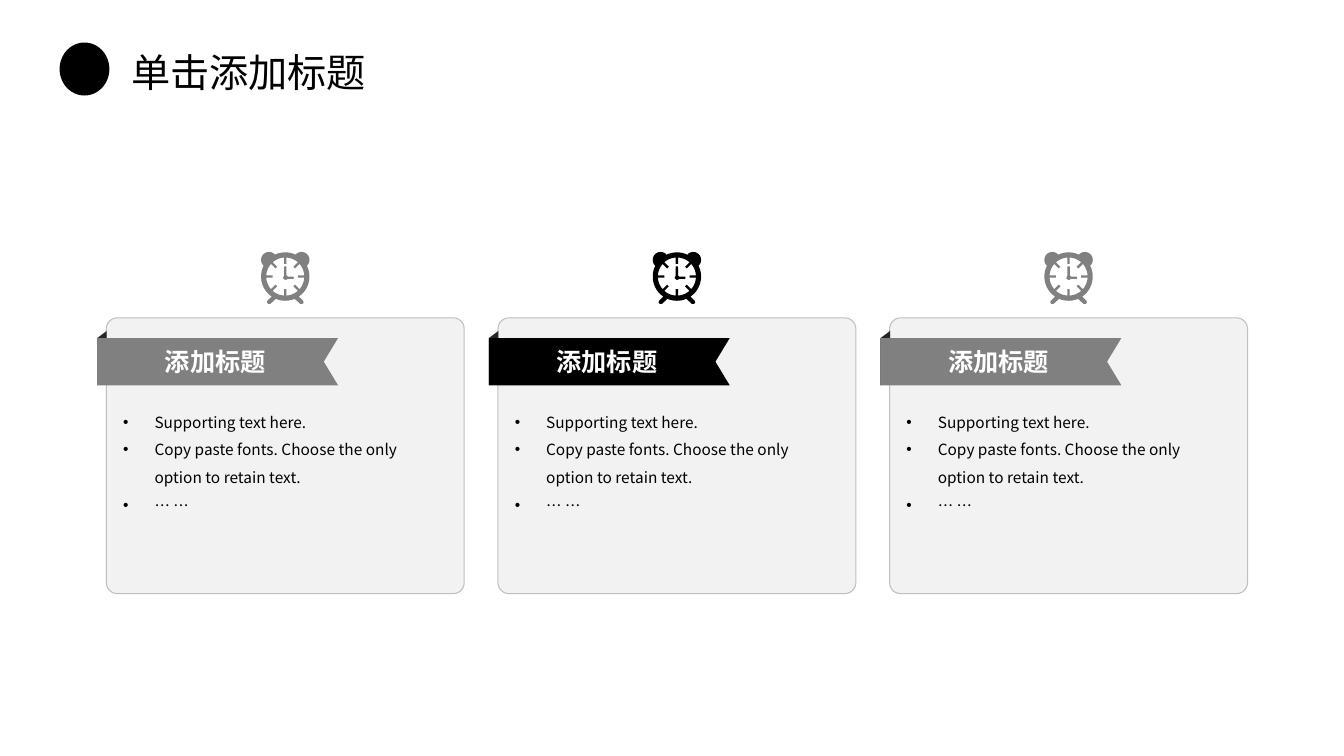
from dataclasses import dataclass
from math import cos, degrees, radians, sin

from lxml import etree
from pptx import Presentation
from pptx import util as u
from pptx.dml.color import RGBColor
from pptx.enum import shapes, text
from pptx.oxml.ns import qn


@dataclass(frozen=True)
class Theme:
    font: str = "Noto Sans CJK SC"
    black: str = "000000"
    white: str = "FFFFFF"
    grey: str = "808080"
    fold: str = "262626"
    card: str = "F2F2F2"
    border: str = "BFBFBF"
    title_size: int = 28
    heading_size: int = 18
    body_size: int = 11


LIST_ITEMS = (
    "Supporting text here.",
    "Copy paste fonts. Choose the only option to retain text.",
    "… …",
)


def write(para, words, *, theme, size, color, bold=False, align=text.PP_ALIGN.LEFT):
    """Add one formatted span to a paragraph."""
    para.alignment = align
    para.space_before = u.Pt(0)
    span = para.add_run()
    span.text = words
    span.font.size = u.Pt(size)
    span.font.bold = bold
    span.font.color.rgb = RGBColor.from_string(color)
    span.font.name = theme.font
    etree.SubElement(span.font._element, qn("a:ea"), typeface=theme.font)


def add_bullet(para, indent):
    props = para._p.get_or_add_pPr()
    props.set("marL", str(indent))
    props.set("indent", str(-indent))
    etree.SubElement(props, qn("a:buFont"), typeface="Arial")
    etree.SubElement(props, qn("a:buChar"), char="•")


# Clock outlines, in millimetres around the centre of the dial
def polar(radius, angle, center=(0, 0)):
    turn = radians(angle)
    return center[0] + radius * cos(turn), center[1] + radius * sin(turn)


def arc(radius, start, end, center=(0, 0), steps=12):
    return [polar(radius, start + (end - start) * i / steps, center)
            for i in range(steps + 1)]


def clock_body():
    bell = arc(2, -135, 45, center=(4.1, -4.2))
    foot = [(4.5, 6.1), (4.6, 6.6), (4.3, 6.9), (3.8, 6.9)]
    right = arc(6.1, -90, -55) + bell + arc(6.1, -34, 56) + foot + arc(6.1, 67, 90)
    return right + [(-x, y) for x, y in reversed(right)]


def clock_dial(rim=4.8, tip=3.2, half_width=0.3):
    outline = []
    wide, narrow = degrees(half_width / tip), degrees(half_width / rim)
    for angle in range(0, 360, 45):
        outline += [polar(tip, angle - wide), polar(tip, angle + wide)]
        outline += arc(rim, angle + narrow, angle + 45 - narrow)
    return outline


CLOCK_HANDS = [(-0.3, -2.5), (0, -2.6), (0.3, -2.5), (0.3, -0.3), (0.6, 0), (2, 0),
               (2.2, 0.3), (2, 0.6), (0.6, 0.6), (0, 0.9), (-0.6, 0.4), (-0.3, -0.2)]


class SlideBuilder:
    def __init__(self, page, theme):
        self.page = page
        self.theme = theme

    def paint(self, shape, fill, line=None, width=0.75):
        shape.shadow.inherit = False
        shape.fill.solid()
        shape.fill.fore_color.rgb = RGBColor.from_string(fill)
        if line:
            shape.line.color.rgb = RGBColor.from_string(line)
            shape.line.width = u.Pt(width)
        else:
            shape.line.fill.background()

    def place(self, box, left, top, width, height):
        box.left, box.top = u.Cm(left), u.Cm(top)
        box.width, box.height = u.Cm(width), u.Cm(height)

    def preset(self, kind, left, top, width, height, fill, line, line_width):
        shape = self.page.shapes.add_shape(
            kind, u.Cm(left), u.Cm(top), u.Cm(width), u.Cm(height))
        self.paint(shape, fill, line, line_width)
        return shape

    def outline(self, contours, fill):
        builder = None
        for contour in contours:
            points = [(u.Cm(x), u.Cm(y)) for x, y in contour]
            if builder is None:
                builder = self.page.shapes.build_freeform(*points[0])
            else:
                builder.move_to(*points[0])
            builder.add_line_segments(points[1:], close=True)
        self.paint(builder.convert_to_shape(), fill)

    def title(self, words):
        box = self.page.shapes.title
        self.place(box, 3.05, 1.09, 8.23, 1.45)
        frame = box.text_frame
        frame.word_wrap = True
        frame.auto_size = text.MSO_AUTO_SIZE.NONE
        frame.vertical_anchor = text.MSO_ANCHOR.MIDDLE
        write(frame.paragraphs[0], words, theme=self.theme,
              size=self.theme.title_size, color=self.theme.black)

    def heading(self, words, left, top, width, height):
        box = self.page.shapes.add_textbox(
            u.Cm(left), u.Cm(top), u.Cm(width), u.Cm(height))
        frame = box.text_frame
        frame.word_wrap = True
        frame.vertical_anchor = text.MSO_ANCHOR.MIDDLE
        write(frame.paragraphs[0], words, theme=self.theme, bold=True,
              size=self.theme.heading_size, color=self.theme.white,
              align=text.PP_ALIGN.CENTER)

    def bullets(self, box, items, left, top, width, height):
        self.page.shapes._spTree.append(box._element)  # bring above the card
        self.place(box, left, top, width, height)
        frame = box.text_frame
        frame.word_wrap = True
        frame.auto_size = text.MSO_AUTO_SIZE.NONE
        frame.vertical_anchor = text.MSO_ANCHOR.TOP
        for i, item in enumerate(items):
            para = frame.add_paragraph() if i else frame.paragraphs[0]
            add_bullet(para, u.Cm(0.79))
            para.line_spacing = 1.5
            write(para, item, theme=self.theme,
                  size=self.theme.body_size, color=self.theme.black)

    def clock(self, x, y, color):
        contours = [[(x + dx / 10, y + dy / 10) for dx, dy in contour]
                    for contour in (clock_body(), clock_dial(), CLOCK_HANDS)]
        self.outline(contours, color)

    def card(self, left, top, accent, list_box, width=9.02, height=6.95):
        panel = self.preset(shapes.MSO_SHAPE.ROUNDED_RECTANGLE, left, top, width,
                            height, self.theme.card, self.theme.border, 0.75)
        panel.adjustments[0] = 0.04
        # Folded ribbon with a notched end
        edge, ribbon_top = left - 0.23, top + 0.51
        ribbon_end, ribbon_bottom = edge + 6.07, ribbon_top + 1.19
        self.outline([[(edge + 0.24, ribbon_top - 0.18), (edge, ribbon_top),
                       (edge, ribbon_bottom), (edge + 0.24, ribbon_bottom - 0.2)]],
                     self.theme.fold)
        self.outline([[(ribbon_end, ribbon_top), (edge, ribbon_top),
                       (edge, ribbon_bottom), (ribbon_end, ribbon_bottom),
                       (ribbon_end - 0.36, (ribbon_top + ribbon_bottom) / 2)]], accent)
        self.heading("添加标题", left + 0.33, top + 0.56, 4.83, 1.07)
        self.bullets(list_box, LIST_ITEMS, left + 0.17, top + 2.03, 8.69, 4.62)
        self.clock(left + width / 2, top - 1.04, accent)


def main():
    theme = Theme()
    deck = Presentation()
    deck.slide_width, deck.slide_height = u.Cm(33.87), u.Cm(19.05)
    page = deck.slides.add_slide(deck.slide_layouts.get_by_name("Comparison"))
    slide = SlideBuilder(page, theme)

    # Title and its marker
    slide.title("单击添加标题")
    slide.preset(shapes.MSO_SHAPE.OVAL, 1.52, 1.09, 1.22, 1.3,
                 theme.black, theme.black, 1)

    # Three cards, the middle one highlighted
    list_boxes = list(page.placeholders)[1:]
    spare = list_boxes.pop()
    spare._element.getparent().remove(spare._element)
    accents = (theme.grey, theme.black, theme.grey)
    for i, (accent, list_box) in enumerate(zip(accents, list_boxes)):
        slide.card(2.68 + 9.87 * i, 8.01, accent, list_box)

    deck.save("out.pptx")


if __name__ == "__main__":
    main()
